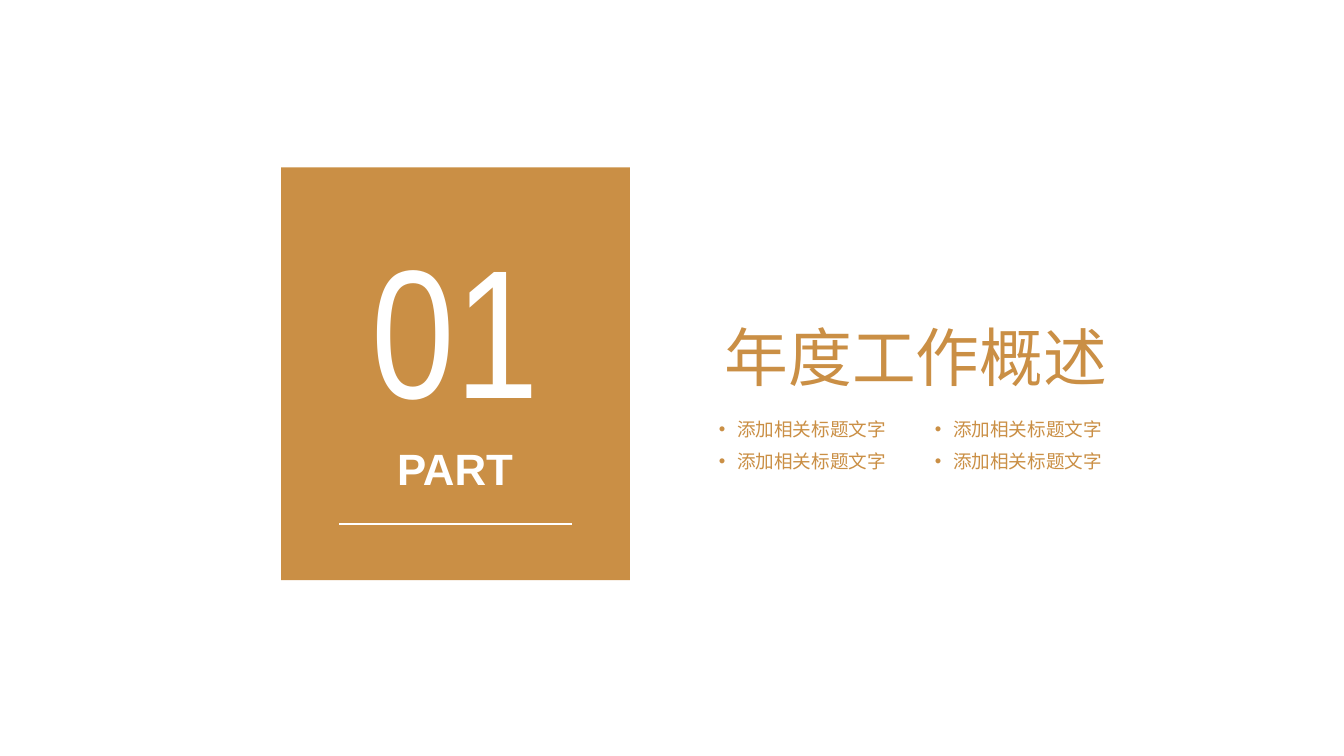
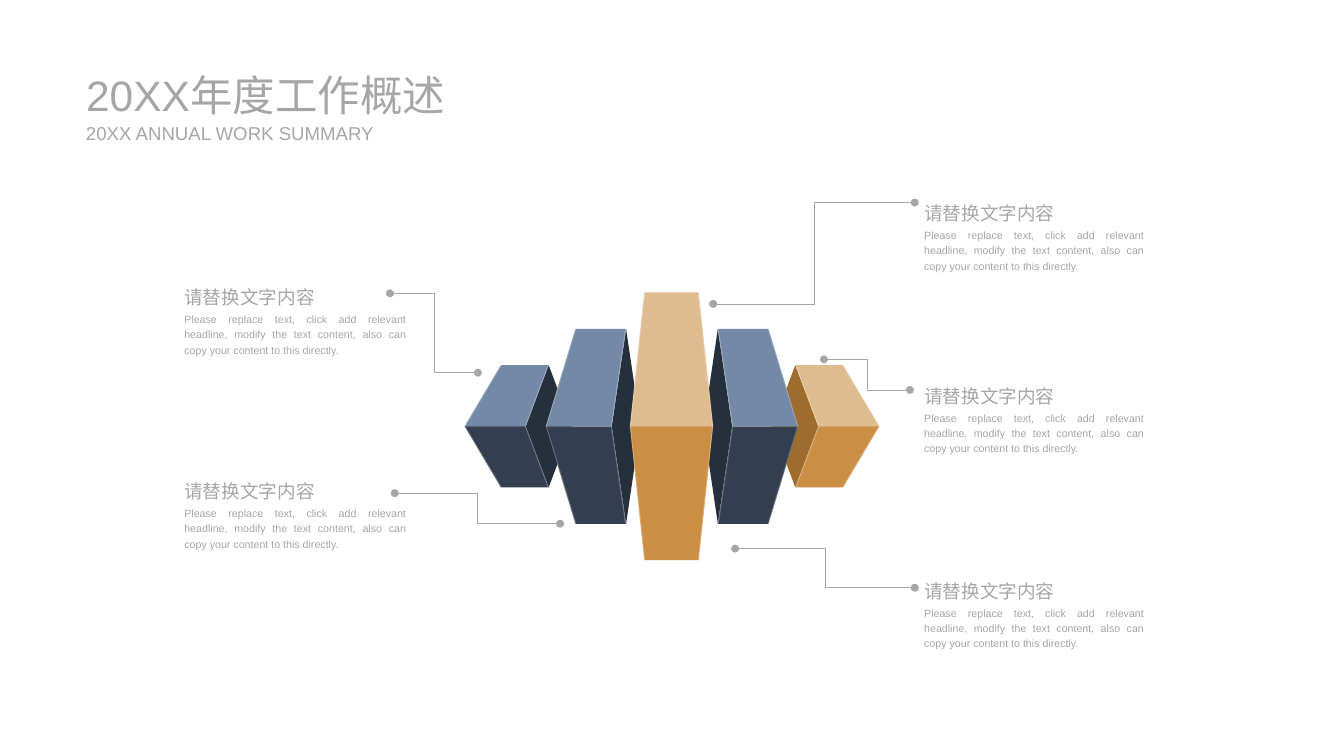
import pptx
import pptx.util
import pptx.dml.color
import pptx.enum.shapes
import pptx.enum.text
import pptx.oxml
import pptx.oxml.ns

Inches = pptx.util.Inches
Pt = pptx.util.Pt
ALIGN = pptx.enum.text.PP_ALIGN
ANCHOR = pptx.enum.text.MSO_ANCHOR

WIDTH, HEIGHT = 14.06, 7.91
GOLD, LIGHT_GOLD, DARK_GOLD = "CA8F45", "DFBC8F", "9E6C2D"
NAVY, LIGHT_NAVY, DARK_NAVY = "333F50", "7489A6", "262F3C"
GREY, WHITE = "A6A6A6", "FFFFFF"

MID = 4.46          # height of the horizontal fold of the blocks
EDGE = 0.01         # thickness of the highlights
BODY = ("Please replace text, click add relevant headline, modify the text "
        "content, also can copy your content to this directly.")


def rgb(value):
    return pptx.dml.color.RGBColor.from_string(value)


def add_xml(parent, tag, **attributes):
    el = pptx.oxml.parse_xml(f"<a:{tag} {pptx.oxml.ns.nsdecls('a')}/>")
    for name, value in attributes.items():
        el.set(name, str(value))
    parent.append(el)
    return el


def mirror(points):
    return [(WIDTH - x, y) for x, y in points]


class Deck:
    font = "Arial"

    def __init__(self):
        self.prs = pptx.Presentation()
        self.prs.slide_width = Inches(WIDTH)
        self.prs.slide_height = Inches(HEIGHT)
        self.s = None

    def add_slide(self):
        self.s = self.prs.slides.add_slide(self.prs.slide_layouts[5])

    def format(self, sp, text, size, color, align=ALIGN.LEFT, anchor=ANCHOR.TOP,
               inset=(0, 0), bold=False, font=None, spacing=None, bullet=False):
        """Fill a text shape; inset is the (horizontal, vertical) margin."""
        tf = sp.text_frame
        tf.text = text
        tf.word_wrap = True
        tf.auto_size = pptx.enum.text.MSO_AUTO_SIZE.NONE
        tf.vertical_anchor = anchor
        tf.margin_left = tf.margin_right = Inches(inset[0])
        tf.margin_top = tf.margin_bottom = Inches(inset[1])
        p = tf.paragraphs[0]
        p.alignment = align
        if spacing:
            p.line_spacing = spacing
        if bullet:
            pPr = p._p.get_or_add_pPr()
            pPr.set("marL", str(Inches(0.19)))
            pPr.set("indent", str(-Inches(0.19)))
            add_xml(add_xml(pPr, "buClr"), "srgbClr", val=color)
            add_xml(pPr, "buFont", typeface=self.font)
            add_xml(pPr, "buChar", char="•")
        r = p.runs[0]
        r.font.name = font or self.font
        r.font.size = Pt(size)
        r.font.bold = bold
        r.font.color.rgb = rgb(color)

    def title(self, box, text, size, color, **style):
        sp = self.s.shapes.title
        sp.left, sp.top, sp.width, sp.height = map(Inches, box)
        self.format(sp, text, size, color, **style)

    def text(self, box, text, size, color, **style):
        sp = self.s.shapes.add_textbox(*map(Inches, box))
        self.format(sp, text, size, color, **style)

    def paint(self, sp, color, alpha=None):
        sp.shadow.inherit = False
        sp.fill.solid()
        sp.fill.fore_color.rgb = rgb(color)
        sp.line.fill.background()
        if alpha is not None:
            clr = sp._element.spPr.find(".//" + pptx.oxml.ns.qn("a:srgbClr"))
            add_xml(clr, "alpha", val=alpha * 1000)

    def rectangle(self, box, color):
        kind = pptx.enum.shapes.MSO_SHAPE.RECTANGLE
        self.paint(self.s.shapes.add_shape(kind, *map(Inches, box)), color)

    def connector(self, begin, end, color, width, elbow=False, dots=False):
        kinds = pptx.enum.shapes.MSO_CONNECTOR
        c = self.s.shapes.add_connector(kinds.ELBOW if elbow else kinds.STRAIGHT,
                                        *map(Inches, begin + end))
        c.line.color.rgb = rgb(color)
        c.line.width = Pt(width)
        if dots:
            ln = c.line._get_or_add_ln()
            add_xml(ln, "headEnd", type="oval")
            add_xml(ln, "tailEnd", type="oval")
        add_xml(c._element.spPr, "effectLst")

    def polygon(self, group, points, color, alpha=None):
        pts = [(Inches(x), Inches(y)) for x, y in points]
        builder = group.shapes.build_freeform(*pts[0])
        builder.add_line_segments(pts[1:], close=True)
        self.paint(builder.convert_to_shape(), color, alpha)

    def block(self, xs, half, colors, flip=False):
        """Draw a folded block.

        xs: outer tip, outer corner, inner corner and inner tip, left to right
        half: height above and below the fold
        colors: upper face, lower face and, if there is one, the side face
        """
        group = self.s.shapes.add_group_shape()
        tip, corner, inner_corner, inner_tip = xs
        top, bottom = MID - half, MID + half
        upper, lower, *side = colors

        def face(y):
            return [(tip, MID), (corner, y), (inner_corner, y), (inner_tip, MID)]

        def fold_edge(x, x_mid, dx):
            return [(x, top), (x_mid, MID), (x, bottom),
                    (x + dx, bottom), (x_mid + dx, MID), (x + dx, top)]

        parts = [([(inner_tip, MID), (inner_corner, top),
                   (2 * inner_corner - inner_tip, MID),
                   (inner_corner, bottom)], color, None) for color in side]
        parts += [(face(top), upper, None), (face(bottom), lower, None)]
        highlights = [
            [(tip, MID), (inner_tip, MID), (inner_tip, MID + EDGE), (tip, MID + EDGE)],
            fold_edge(corner, tip, EDGE),
            fold_edge(inner_corner, inner_tip, -EDGE)]
        parts += [(points, WHITE, 25) for points in highlights]
        for points, color, alpha in parts:
            self.polygon(group, mirror(points) if flip else points, color, alpha)

    def label(self, left, top, width):
        style = dict(align=ALIGN.JUSTIFY, inset=(0.1, 0.05), spacing=1.2)
        self.text((left, top + 0.3, width, 0.58), BODY, 8, GREY, **style)
        self.text((left, top, 1.65, 0.38), "请替换文字内容", 14, GREY, **style)


def section_slide(deck):
    deck.add_slide()
    deck.rectangle((2.94, 1.75, 3.65, 4.32), GOLD)
    deck.connector((3.55, 5.48), (5.98, 5.48), WHITE, 1.5)
    deck.text((3.42, 4.62, 2.68, 0.55), "PART", 33, WHITE,
              align=ALIGN.CENTER, bold=True)
    deck.title((7.58, 3.32, 4.72, 0.8), "年度工作概述", 48, GOLD)
    deck.text((3.57, 2.2, 2.39, 2.4), "01", 138, WHITE, align=ALIGN.CENTER,
              inset=(0.1, 0.05), font="Arial Narrow")
    for top in (4.37, 4.71):
        for left in (7.52, 9.78):
            deck.text((left, top, 2.01, 0.23), "添加相关标题文字", 14, GOLD,
                      bullet=True)


def overview_slide(deck):
    deck.add_slide()
    deck.title((0.9, 0.72, 4.32, 0.53), "20XX年度工作概述", 32, GREY,
               anchor=ANCHOR.MIDDLE)
    deck.text((0.9, 1.28, 3.07, 0.23), "20XX ANNUAL WORK SUMMARY", 14, GREY,
              anchor=ANCHOR.MIDDLE)

    navy = (LIGHT_NAVY, NAVY, DARK_NAVY)
    gold = (LIGHT_GOLD, GOLD, DARK_GOLD)
    outer = (4.86, 5.24, 5.74, 5.5)
    inner = (5.71, 6.02, 6.55, 6.4)
    for flip, outer_colors in ((False, navy), (True, gold)):
        deck.block(outer, 0.64, outer_colors, flip)
        deck.block(inner, 1.02, navy, flip)
    deck.block((6.59, 6.74, 7.31, 7.46), 1.4, gold[:2])

    for left, top, width in ((1.83, 2.9, 2.52), (1.83, 4.93, 2.52),
                             (9.57, 2.02, 2.5), (9.57, 3.93, 2.5),
                             (9.57, 5.97, 2.5)):
        deck.label(left, top, width)
    for begin, end in (((5, 3.9), (4.08, 3.07)),
                       ((5.86, 5.48), (4.13, 5.16)),
                       ((9.57, 2.12), (7.46, 3.18)),
                       ((9.52, 4.08), (8.62, 3.76)),
                       ((9.57, 6.15), (7.69, 5.74))):
        deck.connector(begin, end, GREY, 0.5, elbow=True, dots=True)


def main():
    deck = Deck()
    section_slide(deck)
    overview_slide(deck)
    deck.prs.save("out.pptx")


if __name__ == "__main__":
    main()
